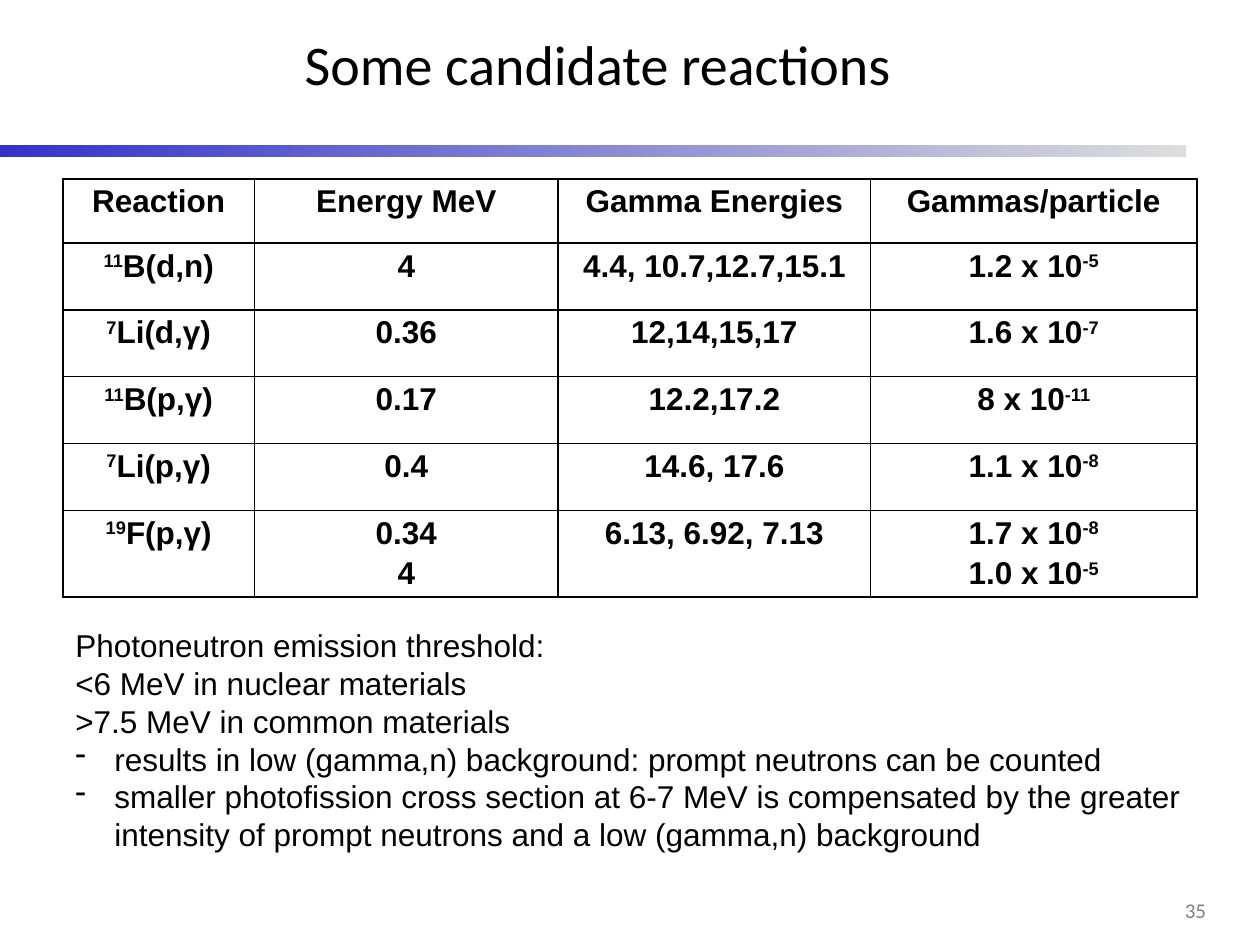
"""Build the slide on candidate reactions for gamma production."""
from lxml import etree
from pptx import Presentation, util as u
from pptx.dml.color import RGBColor
from pptx.enum import shapes, text
from pptx.oxml.ns import qn

W, H = 10, 7.5
MARGIN = 0.05 * W
COLORS = {"ink": "000000", "number": "808080", "paper": "FFFFFF",
          "bar_start": "3333CC", "bar_end": "DDDDDD"}
COLS = [1.52, 2.41, 2.48, 2.59]
ROWS = [0.51] + [0.53] * 4 + [0.68]
REACTIONS = [
    ["Reaction", "Energy MeV", "Gamma Energies", "Gammas/particle"],
    ["^11^B(d,n)", "4", "4.4, 10.7,12.7,15.1", "1.2 x 10^-5^"],
    ["^7^Li(d,γ)", "0.36", "12,14,15,17", "1.6 x 10^-7^"],
    ["^11^B(p,γ)", "0.17", "12.2,17.2", "8 x 10^-11^"],
    ["^7^Li(p,γ)", "0.4", "14.6, 17.6", "1.1 x 10^-8^"],
    ["^19^F(p,γ)", "0.34\n4", "6.13, 6.92, 7.13", "1.7 x 10^-8^\n1.0 x 10^-5^"],
]
THRESHOLDS = [
    "Photoneutron emission threshold:",
    "<6 MeV in nuclear materials",
    ">7.5 MeV in common materials",
]
RESULTS = [
    "results in low (gamma,n) background: prompt neutrons can be counted",
    "smaller photofission cross section at 6-7 MeV is compensated by the greater "
    "intensity of prompt neutrons and a low (gamma,n) background",
]


def rgb(name):
    """Look up a named colour."""
    return RGBColor.from_string(COLORS[name])


def box(*lengths):
    """Turn lengths in inches into a tuple of Inches."""
    return tuple(u.Inches(n) for n in lengths)


def add_text(p, line, size=18, font="Arial", color="ink", bold=False,
             align="LEFT", spacing=None, bullet=None):
    """Write a line into a paragraph, with ^marked^ parts as superscripts."""
    p.alignment = getattr(text.PP_ALIGN, align)
    if spacing:
        p.line_spacing = spacing
    if bullet:
        pPr = p._p.get_or_add_pPr()
        indent = u.Inches(0.31)
        pPr.set("marL", str(indent))
        pPr.set("indent", str(-indent))
        etree.SubElement(pPr, qn("a:buChar")).set("char", bullet)
    for i, part in enumerate(line.split("^")):
        if not part:
            continue
        r = p.add_run()
        r.text = part
        r.font.size, r.font.name, r.font.bold = u.Pt(size), font, bold
        r.font.color.rgb = rgb(color)
        if i % 2:
            r._r.get_or_add_rPr().set("baseline", "30000")


def add_lines(tf, lines, **fmt):
    """Fill an empty text frame with one paragraph per line."""
    for i, line in enumerate(lines):
        add_text(tf.add_paragraph() if i else tf.paragraphs[0], line, **fmt)


def add_textbox(s, *place, anchor="TOP"):
    """Add a wrapping text box and return its text frame."""
    tf = s.shapes.add_textbox(*box(*place)).text_frame
    tf.word_wrap = True
    tf.vertical_anchor = getattr(text.MSO_ANCHOR, anchor)
    return tf


def add_title(s, title):
    """Place and fill the title placeholder."""
    sp = s.shapes.title
    sp.left, sp.top, sp.width, sp.height = box(1.12, 0, 7.25, 1)
    sp.text_frame.vertical_anchor = text.MSO_ANCHOR.MIDDLE
    add_lines(sp.text_frame, [title], size=32, font="Calibri", align="CENTER")


def add_bar(s):
    """Draw the gradient bar below the title."""
    sp = s.shapes.add_shape(shapes.MSO_SHAPE.RECTANGLE, *box(0, 1.15, 9.41, 0.1))
    sp.shadow.inherit = False
    sp.line.fill.background()
    sp.fill.gradient()
    sp.fill.gradient_angle = 0
    for stop, position, name in zip(sp.fill.gradient_stops, (0, 1), ("bar_start", "bar_end")):
        stop.position = position
        stop.color.rgb = rgb(name)


def add_borders(cell):
    """Draw a thin line on each side of a cell."""
    tcPr = cell._tc.get_or_add_tcPr()
    for side in ("lnL", "lnR", "lnT", "lnB"):
        ln = etree.SubElement(tcPr, qn(f"a:{side}"), w=str(u.Pt(1)))
        fill = etree.SubElement(ln, qn("a:solidFill"))
        etree.SubElement(fill, qn("a:srgbClr"), val=COLORS["ink"])


def add_reactions(s):
    """Add the table of reactions."""
    place = box(MARGIN, 1.42, sum(COLS), sum(ROWS))
    table = s.shapes.add_table(len(ROWS), len(COLS), *place).table
    table.first_row = table.horz_banding = False
    for col, width in zip(table.columns, COLS):
        col.width = u.Inches(width)
    for row, height, values in zip(table.rows, ROWS, REACTIONS):
        row.height = u.Inches(height)
        for cell, value in zip(row.cells, values):
            cell.margin_left = cell.margin_right = u.Inches(0.07)
            cell.margin_top = cell.margin_bottom = 0
            add_borders(cell)
            cell.fill.solid()
            cell.fill.fore_color.rgb = rgb("paper")
            add_lines(cell.text_frame, value.split("\n"), bold=True,
                      align="CENTER", spacing=1.15)


def main():
    """Build and save the slide."""
    prs = Presentation()
    prs.slide_width, prs.slide_height = box(W, H)
    s = prs.slides.add_slide(prs.slide_layouts[5])
    add_bar(s)
    add_title(s, "Some candidate reactions")
    add_lines(add_textbox(s, 8.92, 7.08, 0.75, 0.28, anchor="MIDDLE"), ["35"],
              size=12, font="Calibri", color="number", align="RIGHT")
    add_reactions(s)
    tf = add_textbox(s, MARGIN, 4.92, W - 2 * MARGIN, 1.92)
    add_lines(tf, THRESHOLDS)
    for line in RESULTS:
        add_text(tf.add_paragraph(), line, bullet="-")
    prs.save("out.pptx")


if __name__ == "__main__":
    main()
